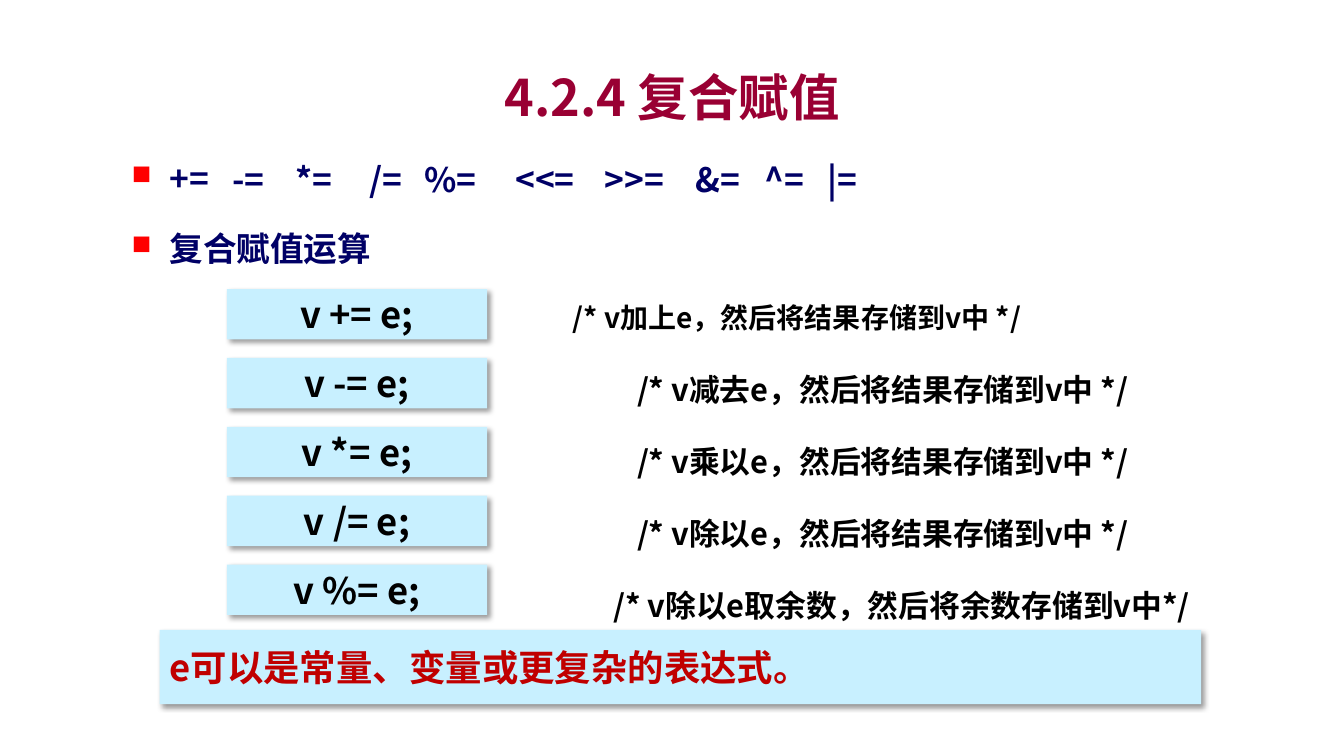
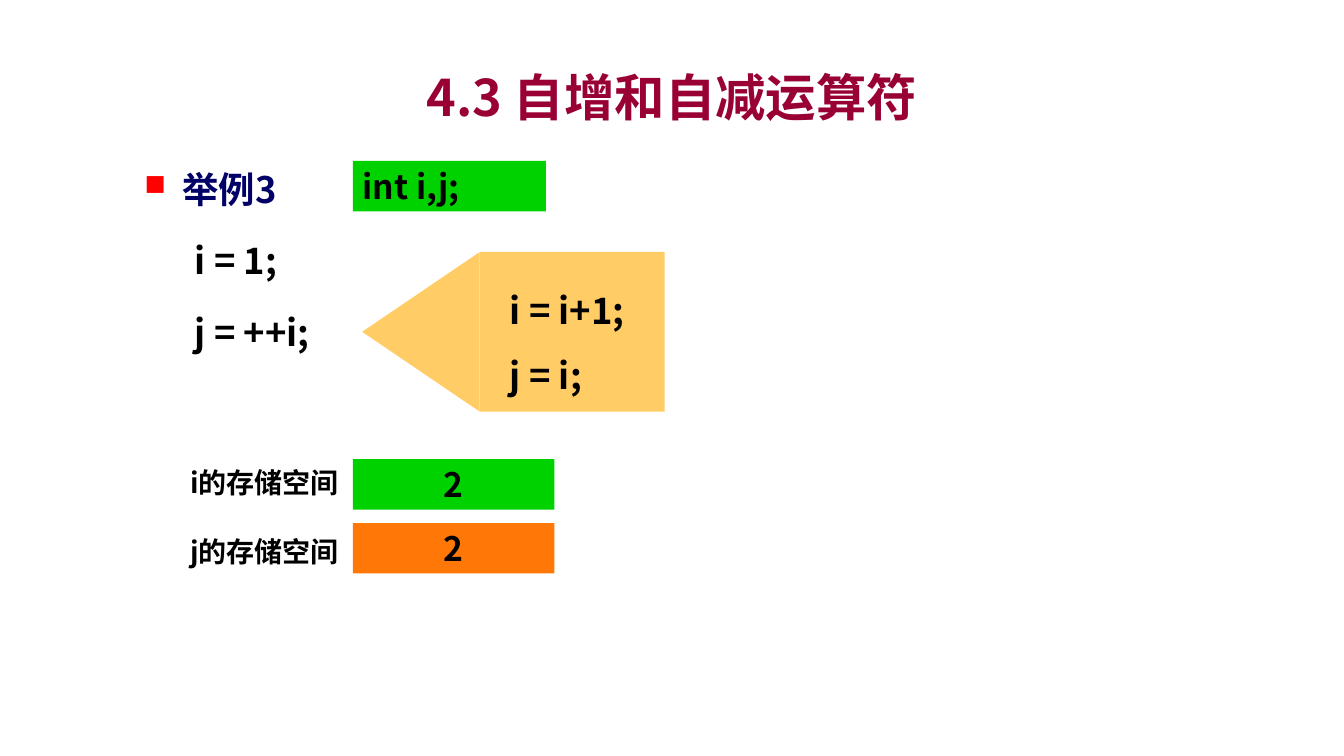
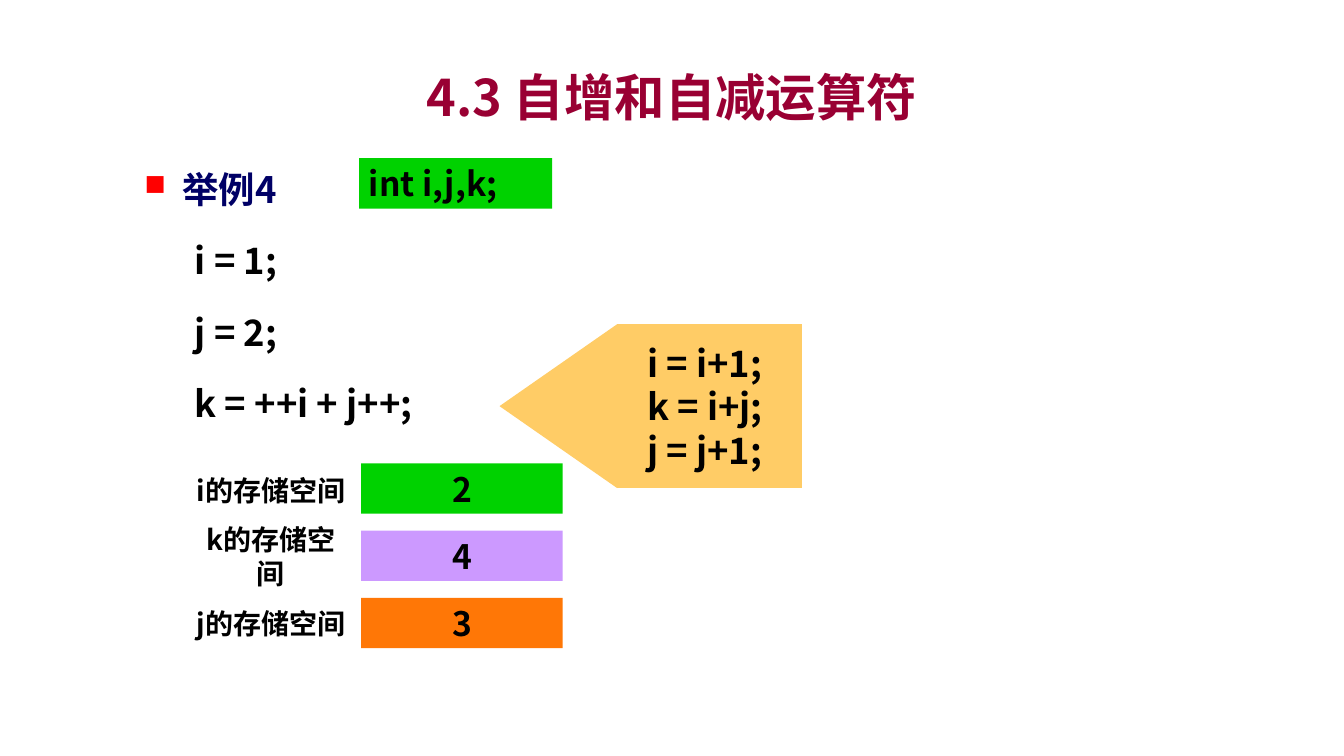
"""Builds three slides on compound assignment and increment operators in C."""
from lxml import etree
from pptx import Presentation
from pptx.dml.color import RGBColor
from pptx.enum import shapes, text
from pptx.oxml import ns
from pptx.util import Pt

FONT = "Noto Sans CJK SC"
NAVY, MAROON, RED, BLACK = "000066", "990033", "C00000", "000000"
SKY, GREEN, ORANGE, LILAC, SAND = "C8F0FF", "00D200", "FF7706", "CC99FF", "FFCC66"
LEFT, CENTER = text.PP_ALIGN.LEFT, text.PP_ALIGN.CENTER
TOP, MIDDLE = text.MSO_ANCHOR.TOP, text.MSO_ANCHOR.MIDDLE
RECT, TRIANGLE = shapes.MSO_SHAPE.RECTANGLE, shapes.MSO_SHAPE.ISOSCELES_TRIANGLE
POINT_DEPTH = 84


def color(hex_code):
    return RGBColor.from_string(hex_code)


def child(parent, tag, **attributes):
    element = etree.SubElement(parent, ns.qn(tag))
    for key, value in attributes.items():
        element.set(key, str(value))
    return element


def add_run(paragraph, words, size, ink):
    run = paragraph.add_run()
    run.text = words
    run.font.size = Pt(size)
    run.font.bold = True
    run.font.color.rgb = color(ink)
    run.font.name = FONT
    child(run.font._element, "a:ea", typeface=FONT)


def set_indent(paragraph, margin, first_line):
    properties = paragraph._p.get_or_add_pPr()
    properties.set("marL", str(Pt(margin)))
    properties.set("indent", str(Pt(first_line)))
    return properties


def add_bullet(paragraph):
    properties = set_indent(paragraph, 27, -27)
    child(child(properties, "a:buClr"), "a:srgbClr", val="FF0000")
    child(properties, "a:buSzPct", val=80000)
    child(properties, "a:buChar", char="■")


def write_lines(frame, lines, size, ink=BLACK, align=LEFT, anchor=MIDDLE, wrap=False):
    frame.word_wrap = wrap
    frame.vertical_anchor = anchor
    for number, line in enumerate(lines):
        paragraph = frame.paragraphs[0] if number == 0 else frame.add_paragraph()
        paragraph.alignment = align
        add_run(paragraph, line, size, ink)
    return frame.paragraphs


def add_text(slide, box, lines, size, **style):
    frame = slide.shapes.add_textbox(*map(Pt, box)).text_frame
    return write_lines(frame, lines, size, **style)


def add_block(slide, box, fill, kind=RECT, shadow=False):
    block = slide.shapes.add_shape(kind, *map(Pt, box))
    block.shadow.inherit = False
    block.fill.solid()
    block.fill.fore_color.rgb = color(fill)
    block.line.fill.background()
    if shadow:
        effects = block._element.spPr.find(ns.qn("a:effectLst"))
        outer = child(effects, "a:outerShdw", blurRad=Pt(4), dist=Pt(3),
                      dir=45 * 60000, algn="tl", rotWithShape=0)
        child(child(outer, "a:srgbClr", val=BLACK), "a:alpha", val=40000)
    return block


def add_panel(slide, box, fill, words, size=24, ink=BLACK, align=CENTER, shadow=False):
    panel = add_block(slide, box, fill, shadow=shadow)
    write_lines(panel.text_frame, [words], size, ink=ink, align=align)


def add_title_slide(deck, title):
    slide = deck.slides.add_slide(deck.slide_layouts[6])
    add_text(slide, (174, 42, 612, 54), [title], 36, ink=MAROON, align=CENTER, wrap=True)
    return slide


def space_lines(paragraphs, spacing):
    for number, paragraph in enumerate(paragraphs):
        paragraph.line_spacing = spacing
        paragraph.space_before = Pt(6 if number else 0)
        paragraph.space_after = Pt(6)


def add_callout(slide, left, top, height, lines, spacing):
    pointer = add_block(slide, (left - (POINT_DEPTH + height) / 2,
                                top + (height - POINT_DEPTH) / 2, height, POINT_DEPTH),
                        SAND, TRIANGLE)
    pointer.rotation = 270
    panel = add_block(slide, (left, top, 132, height), SAND)
    for paragraph in write_lines(panel.text_frame, lines, 26):
        set_indent(paragraph, 14.4, 0)
        paragraph.line_spacing = spacing


def add_example(slide, heading, statements, declaration, declaration_at):
    heading_line, *code_lines = add_text(slide, (96, 108, 520, 198), [heading, *statements],
                                         26, anchor=TOP, wrap=True)
    space_lines([heading_line, *code_lines], 1.25)
    add_bullet(heading_line)
    heading_line.runs[0].font.color.rgb = color(NAVY)
    for line in code_lines:
        set_indent(line, 58.3, -22.3)
    add_panel(slide, (*declaration_at, 138, 36), GREEN, declaration, align=LEFT)


def add_storage(slide, cells, label_at, label_pitch, cell_at, cell_pitch):
    for row, (variable, value, fill) in enumerate(cells):
        add_text(slide, (label_at[0], label_at[1] + row * label_pitch, 126, 42),
                 [f"{variable}的存储空间"], 20, align=CENTER)
        add_panel(slide, (cell_at[0], cell_at[1] + row * cell_pitch, 144, 36), fill, value)


def build_compound_assignment(deck):
    slide = add_title_slide(deck, "4.2.4 复合赋值")
    bullets = add_text(slide, (87, 101, 786, 100), ["+=", "复合赋值运算"], 24,
                       ink=NAVY, anchor=TOP, wrap=True)
    operators = add_text(slide, (159, 101, 520, 48),
                         ["-=\t*=\t/=\t%=\t<<=\t>>=\t&=\t^=\t|="], 24,
                         ink=NAVY, anchor=TOP, wrap=True)
    space_lines(bullets, 1.3)
    space_lines(operators, 1.3)
    for bullet in bullets:
        add_bullet(bullet)
    tabs = child(operators[0]._p.get_or_add_pPr(), "a:tabLst")
    for stop in (45, 98, 137, 202, 266, 331, 380, 425):
        child(tabs, "a:tab", pos=Pt(stop), algn="l")

    rows = [
        ("v += e;", "/* v加上e，然后将结果存储到v中 */", 402, 20),
        ("v -= e;", "/* v减去e，然后将结果存储到v中 */", 448, 22),
        ("v *= e;", "/* v乘以e，然后将结果存储到v中 */", 448, 22),
        ("v /= e;", "/* v除以e，然后将结果存储到v中 */", 448, 22),
        ("v %= e;", "/* v除以e取余数，然后将余数存储到v中*/", 431, 22),
    ]
    for row, (statement, comment, comment_left, size) in enumerate(rows):
        add_panel(slide, (162, 206.5 + row * 49.2, 186, 36), SKY, statement, 26, shadow=True)
        add_text(slide, (comment_left, 206.5 + row * 51.4, 480, 40), [comment], size, wrap=True)
    add_panel(slide, (114, 450, 744, 53), SKY, "e可以是常量、变量或更复杂的表达式。", 26,
              ink=RED, align=LEFT, shadow=True)


def build_prefix_example(deck):
    slide = add_title_slide(deck, "4.3 自增和自减运算符")
    add_example(slide, "举例3", ["i = 1;", "j = ++i;"], "int i,j;", (252, 115))
    add_storage(slide, [("i", "2", GREEN), ("j", "2", ORANGE)],
                (126, 323.5), 49, (252, 328), 45.6)
    add_callout(slide, 342.7, 180, 114, ["i = i+1;", "j = i;"], 1.5)


def build_mixed_example(deck):
    slide = add_title_slide(deck, "4.3 自增和自减运算符")
    add_example(slide, "举例4", ["i = 1;", "j = 2;", "k = ++i + j++;"],
                "int i,j,k;", (256.5, 113))
    add_storage(slide, [("i", "2", GREEN), ("k", "4", LILAC), ("j", "3", ORANGE)],
                (130.5, 329), 47.5, (258, 331), 48)
    add_callout(slide, 440.8, 231.6, 117, ["i = i+1;", "k = i+j;", "j = j+1;"], 1.0)


def main():
    deck = Presentation()
    deck.slide_width, deck.slide_height = Pt(960), Pt(540)
    build_compound_assignment(deck)
    build_prefix_example(deck)
    build_mixed_example(deck)
    deck.save("out.pptx")


if __name__ == "__main__":
    main()
